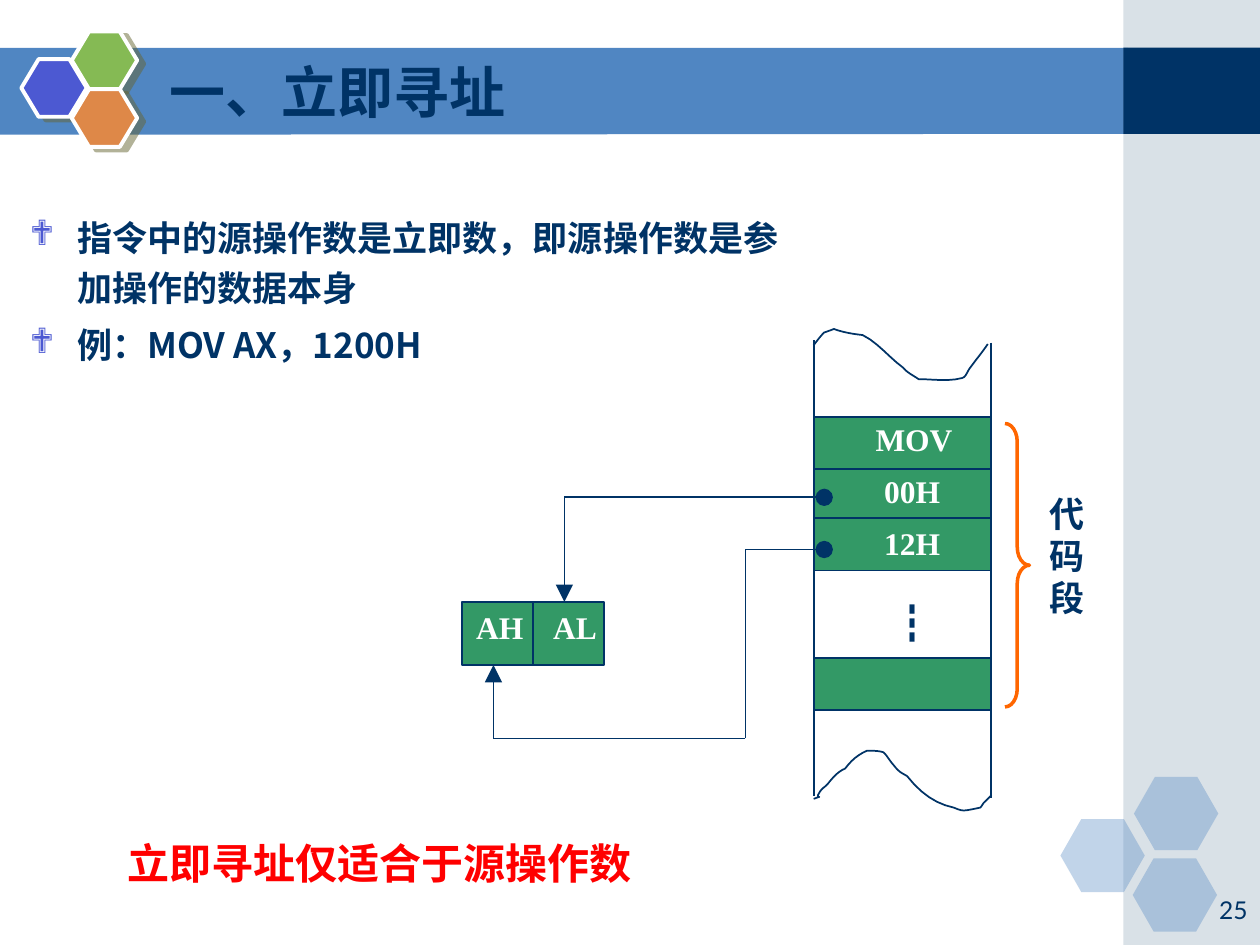
from lxml import etree
from pptx import Presentation
from pptx.dml.color import RGBColor
from pptx.enum.shapes import MSO_CONNECTOR, MSO_SHAPE
from pptx.enum.text import MSO_ANCHOR, PP_ALIGN
from pptx.oxml import parse_xml
from pptx.oxml.ns import nsdecls, qn
from pptx.util import Pt

rgb = RGBColor.from_string
NAVY, BLUE, GREEN, WHITE = "003366", "5086C2", "339966", "FFFFFF"
CJK, TIMES, LATO = "Noto Sans CJK SC", "Times New Roman", "Lato"


def style(sp, fill=None, line=None, width=1, alpha=None):
    sp.shadow.inherit = False
    if fill:
        sp.fill.solid()
        sp.fill.fore_color.rgb = rgb(fill)
        if alpha:
            color = sp.fill._xPr.find(qn("a:solidFill"))[0]
            etree.SubElement(color, qn("a:alpha")).set("val", str(alpha * 1000))
    else:
        sp.fill.background()
    if line:
        sp.line.color.rgb = rgb(line)
        sp.line.width = Pt(width)
    else:
        sp.line.fill.background()
    return sp


def add_text(box, lines, size, font, color, bold=True, anchor=MSO_ANCHOR.TOP):
    tf = s.shapes.add_textbox(*map(Pt, box)).text_frame
    tf.word_wrap = True
    tf.vertical_anchor = anchor
    for i, line in enumerate(lines):
        p = tf.paragraphs[0] if i == 0 else tf.add_paragraph()
        r = p.add_run()
        r.text = line
        fmt = {"size": Pt(size), "name": font, "bold": bold}
        for key, value in fmt.items():
            setattr(r.font, key, value)
        r.font.color.rgb = rgb(color)
        etree.SubElement(r._r.get_or_add_rPr(), qn("a:ea")).set("typeface", CJK)
    return tf


prs = Presentation()
prs.slide_width, prs.slide_height = Pt(720), Pt(540)
s = prs.slides.add_slide(prs.slide_layouts[6])

fb = s.shapes.build_freeform(Pt(-0.5), Pt(27.3), scale=1.0)
fb.add_line_segments([(Pt(x), Pt(y)) for x, y in [(644.5, 27.3), (644.5, 76.5), (-0.5, 77)]])
style(fb.convert_to_shape(), BLUE)

for top, height, fill, alpha in [(0, 540, "A0B5C4", 40), (27.3, 49.2, NAVY, None)]:
    sp = s.shapes.add_shape(MSO_SHAPE.RECTANGLE, Pt(642), Pt(top), Pt(78), Pt(height))
    style(sp, fill, alpha=alpha)

for left, top in [(606, 468), (648, 444), (647.3, 490.5)]:
    sp = s.shapes.add_shape(MSO_SHAPE.HEXAGON, Pt(left), Pt(top), Pt(48.2), Pt(41.8))
    sp.adjustments[0] = 0.286
    style(sp, BLUE, alpha=35)

for left, top, fill in [(12.2, 33.8, "4C59D2"), (41, 18, "85BA54"), (41, 51, "DE8848")]:
    sp = s.shapes.add_shape(MSO_SHAPE.HEXAGON, Pt(left), Pt(top), Pt(37.4), Pt(33))
    sp.adjustments[0] = 0.3
    style(sp, fill, WHITE, 2.25)
    sp._element.spPr.find(qn("a:effectLst")).append(parse_xml(
        f'<a:outerShdw {nsdecls("a")} blurRad="0" dist="57150" dir="1620000" algn="ctr" '
        'rotWithShape="0"><a:srgbClr val="666633"><a:alpha val="50000"/></a:srgbClr></a:outerShdw>'))

tf = add_text((607.7, 496, 112.3, 36), ["25"], 14, LATO, NAVY, False, MSO_ANCHOR.BOTTOM)
tf.paragraphs[0].alignment = PP_ALIGN.RIGHT
add_text((90, 30.2, 527.8, 44.6), ["一、立即寻址"], 32, CJK, NAVY, anchor=MSO_ANCHOR.BOTTOM)

tf = add_text((10, 115.2, 459.4, 271.4),
              ["指令中的源操作数是立即数，即源操作数是参加操作的数据本身", "例：MOV AX，1200H"],
              20, CJK, NAVY)
for i, p in enumerate(tf.paragraphs):
    p.line_spacing = 1.2
    p.space_before = Pt(4 * i)
    pPr = p._p.get_or_add_pPr()
    pPr.set("marL", str(Pt(27)))
    pPr.set("indent", str(-Pt(27)))
    color = etree.SubElement(pPr, qn("a:buClr"))
    etree.SubElement(color, qn("a:srgbClr")).set("val", "4C59D2")
    etree.SubElement(pPr, qn("a:buFont")).set("typeface", "Wingdings")
    etree.SubElement(pPr, qn("a:buChar")).set("char", "❖")

for top in (238.3, 268, 296, 376):
    style(s.shapes.add_shape(MSO_SHAPE.RECTANGLE, Pt(465.1), Pt(top), Pt(101.2), Pt(30)), GREEN, NAVY)
register = s.shapes.add_shape(MSO_SHAPE.RECTANGLE, Pt(264), Pt(344), Pt(81), Pt(36))
style(register, GREEN, NAVY)

waves = [
    [(465, 197.3), (466, 195.8), (470, 190.8), (471, 190), (473, 189.4), (476.6, 188), (476.6, 188),
     (481.7, 190), (487.4, 190.8), (493, 191.5), (501.8, 195.8), (508.3, 204.5), (516.2, 210.2),
     (518.4, 213), (522, 214.6), (525, 216.7), (533.5, 216.7), (542, 218.2), (550, 216),
     (552.2, 215.3), (553, 211.7), (554.4, 210.2), (558, 205.2), (561.6, 201), (564.5, 196.6)],
    [(465, 456.5), (472.3, 453.6), (464.4, 458), (468.7, 452.2), (470.2, 450), (472.3, 449.3),
     (473.8, 447), (476.6, 443.5), (479.5, 440.6), (483, 439.2), (486.7, 434.2), (490.3, 431.3),
     (495.4, 429), (499, 429), (501.8, 429), (504.7, 429.8), (506.2, 430.6), (509, 435.6),
     (510.5, 437), (514, 441.4), (514.8, 441.4), (518.4, 443.5), (526.3, 453.6), (535, 459.4),
     (545, 461.5), (550.8, 463.7), (549.4, 463.7), (560.2, 461.5), (561, 460.8), (561.6, 459.4),
     (562.3, 458.6), (563, 458), (563.8, 457.2), (564.5, 456.5), (565.2, 455.8), (566.6, 454.3),
     (566.6, 454.3)],
]
for wave in waves:
    fb = s.shapes.build_freeform(Pt(wave[0][0]), Pt(wave[0][1]), scale=1.0)
    points = []
    for i in range(0, len(wave) - 1, 3):
        for t in (k / 6 for k in range(1, 7)):
            weights = ((1 - t) ** 3, 3 * t * (1 - t) ** 2, 3 * t * t * (1 - t), t ** 3)
            points.append([Pt(sum(w * c[axis] for w, c in zip(weights, wave[i:i + 4])))
                           for axis in (0, 1)])
    fb.add_line_segments(points, close=False)
    style(fb.convert_to_shape(), None, NAVY)

connectors = [
    (465.1, 194.4, 465.1, 455, None, None),
    (566.5, 195.8, 566.5, 455.8, None, None),
    (304.5, 344, 304.5, 380, None, None),
    (471, 284.2, 322.5, 284.2, "headEnd", "oval"),
    (322.5, 284.2, 322.5, 344, "tailEnd", "triangle"),
    (471, 314, 426, 314, "headEnd", "oval"),
    (426, 314, 426, 422, None, None),
    (426, 422, 282, 422, None, None),
    (282, 422, 282, 380, "tailEnd", "triangle"),
]
for x1, y1, x2, y2, end, kind in connectors:
    cn = s.shapes.add_connector(MSO_CONNECTOR.STRAIGHT, Pt(x1), Pt(y1), Pt(x2), Pt(y2))
    cn.line.color.rgb = rgb(NAVY)
    cn.line.width = Pt(1)
    if end:
        tip = etree.SubElement(cn.line._get_or_add_ln(), qn("a:" + end))
        for key, value in {"type": kind, "w": "lg", "len": "lg"}.items():
            tip.set(key, value)
    etree.SubElement(cn._element.spPr, qn("a:effectLst"))
    if x1 == x2 == 304.5:
        cn.begin_connect(register, 0)
        cn.end_connect(register, 2)

sp = s.shapes.add_shape(MSO_SHAPE.RIGHT_BRACE, Pt(574.3), Pt(242), Pt(14), Pt(162))
sp.adjustments[0], sp.adjustments[1] = 0.745, 0.5
style(sp, None, "FF6600", 2)

for left, top, width, text in [(493.2, 236.2, 58.3, "MOV"), (498.2, 266.4, 49.7, "00H"),
                               (498.2, 296, 49.7, "12H")]:
    add_text((left, top, width, 28.8), [text], 18, TIMES, WHITE)

tf = add_text((265, 344, 90, 28.8), ["AH\tAL"], 18, TIMES, WHITE)
tabs = etree.SubElement(tf.paragraphs[0]._p.get_or_add_pPr(), qn("a:tabLst"))
for key, value in {"pos": str(Pt(44)), "algn": "l"}.items():
    if len(tabs) == 0:
        etree.SubElement(tabs, qn("a:tab"))
    tabs[0].set(key, value)

add_text((592.6, 278, 27.4, 80), ["代码段"], 20, TIMES, NAVY)
add_text((502.6, 337.7, 36, 65.5), ["┇"], 24, CJK, NAVY, False)
add_text((65.5, 475.2, 349.2, 36.7), ["立即寻址仅适合于源操作数"], 24, LATO, "FF0000")

prs.save("out.pptx")
